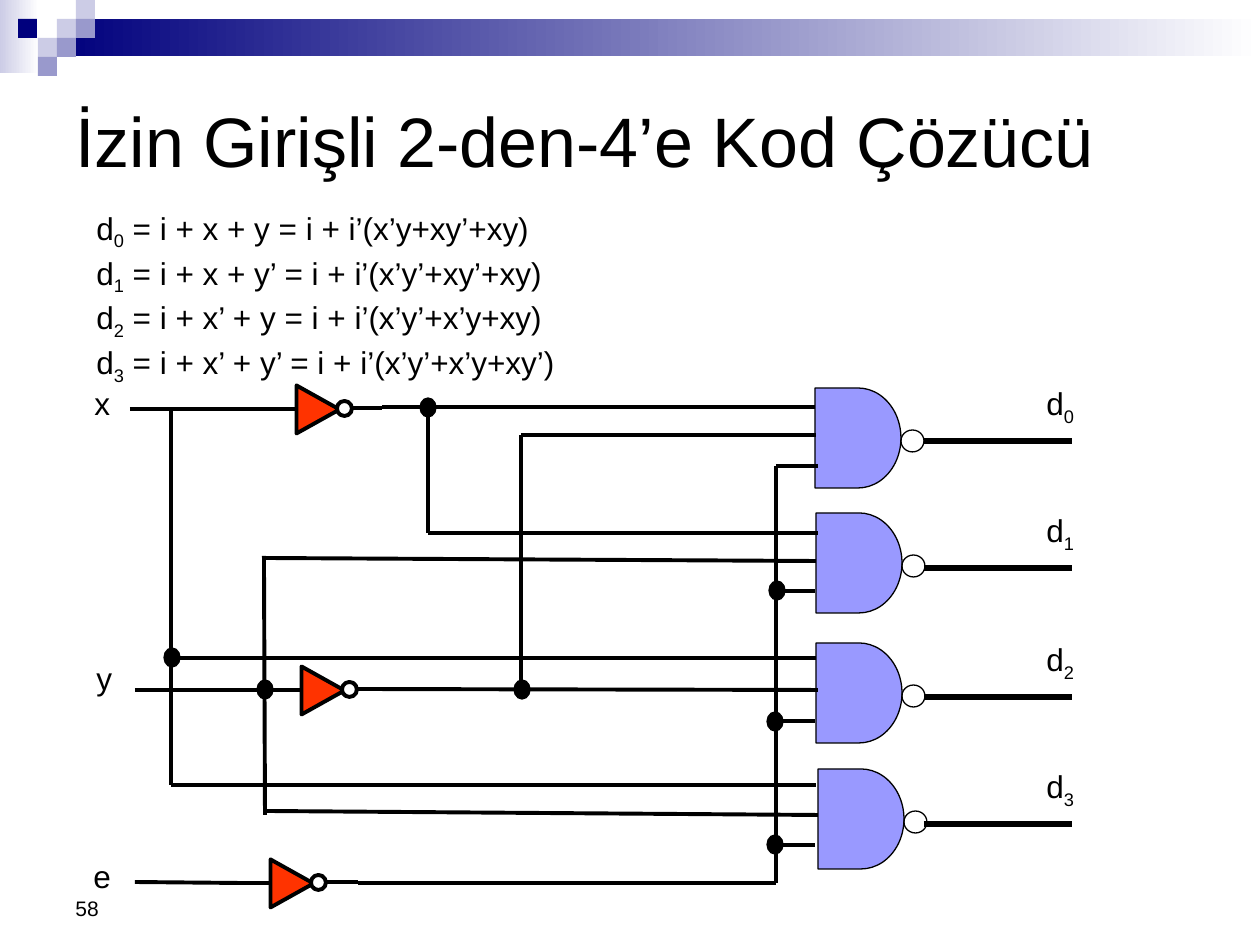
from itertools import pairwise

from lxml import etree
from pptx import Presentation
from pptx.dml.color import RGBColor
from pptx.enum.shapes import MSO_CONNECTOR, MSO_SHAPE
from pptx.enum.text import MSO_ANCHOR
from pptx.oxml.ns import qn
from pptx.util import Emu, Pt

RECT, OVAL = MSO_SHAPE.RECTANGLE, MSO_SHAPE.OVAL
GATE, TRIANGLE = MSO_SHAPE.FLOWCHART_DELAY, MSO_SHAPE.FLOWCHART_EXTRACT
TOP, MIDDLE, BOTTOM = MSO_ANCHOR.TOP, MSO_ANCHOR.MIDDLE, MSO_ANCHOR.BOTTOM
STRAIGHT = MSO_CONNECTOR.STRAIGHT
BLACK, WHITE, NAVY = "000000", "FFFFFF", "00007D"
PALE, LILAC, VIOLET, RED = "CCCCE6", "9999CC", "9999FF", "FF3300"

# Content: all lengths in px, 126 to the inch
TITLE = "İzin Girişli 2-den-4’e Kod Çözücü"
PAGE_NUMBER = "58"
EQUATIONS = [
    ("d", "0", " = i + x + y = i + i’(x’y+xy’+xy)"),
    ("d", "1", " = i + x + y’ = i + i’(x’y’+xy’+xy)"),
    ("d", "2", " = i + x’ + y = i + i’(x’y’+x’y+xy)"),
    ("d", "3", " = i + x’ + y’ = i + i’(x’y’+x’y+xy’)"),
]
BANDS = [(0, 0, 39, 73, PALE), (57, 19, 1203, 37, NAVY)]
SQUARES = [
    (57, 19, PALE), (76, 0, PALE), (76, 19, LILAC), (38, 38, PALE),
    (18, 19, NAVY), (57, 38, LILAC), (38, 57, LILAC),
]
GATES = [(815, 388, 441), (816, 513, 568), (816, 643, 697), (818, 769, 824)]
INVERTERS = [(294, 388), (299, 669), (268, 862)]
INPUTS = [("x", 82, 378), ("y", 84, 653), ("e", 81, 851)]
WIRES = [
    # x and its complement
    [(130, 409), (296, 409)],
    [(350, 408), (382, 408)],
    [(382, 407), (815, 407)],
    [(428, 409), (428, 533), (818, 533)],
    [(171, 408), (171, 785), (816, 785)],
    [(171, 658), (816, 658)],
    # y and its complement
    [(135, 690), (301, 690)],
    [(355, 689), (818, 690)],
    [(521, 690), (521, 435), (816, 435)],
    [(264, 556), (265, 815)],
    [(264, 811), (818, 815)],
    [(263, 558), (816, 561)],
    # enable
    [(135, 882), (241, 883), (272, 883)],
    [(326, 882), (358, 882)],
    [(358, 883), (776, 883), (776, 466), (818, 466)],
    [(774, 591), (815, 591)],
    [(774, 721), (815, 721)],
    [(774, 845), (815, 845)],
]
JUNCTIONS = [
    (257, 680), (420, 398), (514, 680), (767, 835),
    (767, 712), (769, 581), (164, 648),
]


def px(value):
    return Emu(round(value * 914400 / 126))


def color(hex_code):
    return RGBColor.from_string(hex_code)


def add_shape(page, kind, left, top, width, height, fill=None, line=0):
    shape = page.shapes.add_shape(kind, px(left), px(top), px(width), px(height))
    shape.shadow.inherit = False
    if fill:
        shape.fill.solid()
        shape.fill.fore_color.rgb = color(fill)
    else:
        shape.fill.background()
    if line:
        shape.line.color.rgb = color(BLACK)
        shape.line.width = Pt(line)
    else:
        shape.line.fill.background()
    return shape


def add_wire(page, points, width=2.25):
    for start, end in pairwise(points):
        wire = page.shapes.add_connector(STRAIGHT, *map(px, start + end))
        wire.line.color.rgb = color(BLACK)
        wire.line.width = Pt(width)
        etree.SubElement(wire._element.spPr, qn("a:effectLst"))


def add_text(page, left, top, width, height, lines, size=18, anchor=TOP, wrap=True):
    """Each line is a tuple of spans; the second span is a subscript."""
    box = page.shapes.add_textbox(px(left), px(top), px(width), px(height))
    frame = box.text_frame
    frame.word_wrap = wrap
    frame.vertical_anchor = anchor
    frame.text = "\n".join(line[0] for line in lines)
    for para, line in zip(frame.paragraphs, lines):
        for text in line[1:]:
            para.add_run().text = text
        for index, span in enumerate(para.runs):
            span.font.name = "Arial"
            span.font.size = Pt(size)
            span.font.color.rgb = color(BLACK)
            if index == 1:
                span.font._element.set("baseline", "-25000")
    return frame


def add_header(page):
    for left, top, width, height, tint in BANDS:
        band = add_shape(page, RECT, left, top, width, height, tint)
        band.fill.gradient()
        band.fill.gradient_angle = 0
        for stop, shade, position in zip(band.fill.gradient_stops, (tint, WHITE), (0, 1)):
            stop.color.rgb = color(shade)
            stop.position = position
    for left, top, tint in SQUARES:
        add_shape(page, RECT, left, top, 19, 19, tint)


def add_equations(page):
    frame = add_text(page, 84, 203, 595, 280, EQUATIONS)
    for para in frame.paragraphs:
        para.line_spacing = 0.9
        properties = para._p.get_or_add_pPr()
        properties.set("marL", str(px(48)))
        properties.set("indent", str(px(-48)))
        before = etree.SubElement(properties, qn("a:spcBef"))
        etree.SubElement(before, qn("a:spcPct")).set("val", "20000")


def add_circuit(page):
    # Gates with their outputs
    for index, (left, top, output_y) in enumerate(GATES):
        add_shape(page, GATE, left, top, 86, 100, VIOLET, 0.75)
        add_shape(page, OVAL, left + 86, top + 42, 23, 22, None, 0.75)
        add_wire(page, [(924, output_y), (1072, output_y)], 3)
        add_text(page, 1034, output_y - 63, 67, 63, [("d", str(index))], wrap=False)
    # Inverters
    for left, top in INVERTERS:
        add_shape(page, TRIANGLE, left, top, 48, 43, RED, 2.25).rotation = 90
        add_shape(page, OVAL, left + 43, top + 13, 15, 15, WHITE, 2.25)
    # Inputs, wires and junctions
    for name, left, top in INPUTS:
        add_text(page, left, top, 48, 63, [(name,)], wrap=False)
    for points in WIRES:
        add_wire(page, points)
    for left, top in JUNCTIONS:
        add_shape(page, OVAL, left, top, 16, 19, BLACK, 0.75)


def main():
    deck = Presentation()
    deck.slide_width, deck.slide_height = px(1260), px(945)
    page = deck.slides.add_slide(deck.slide_layouts[6])
    add_header(page)
    add_text(page, 63, 861, 294, 66, [(PAGE_NUMBER,)], 12, BOTTOM)
    add_text(page, 63, 45, 1134, 189, [(TITLE,)], 40, MIDDLE)
    add_circuit(page)
    add_equations(page)
    deck.save("out.pptx")


if __name__ == "__main__":
    main()
